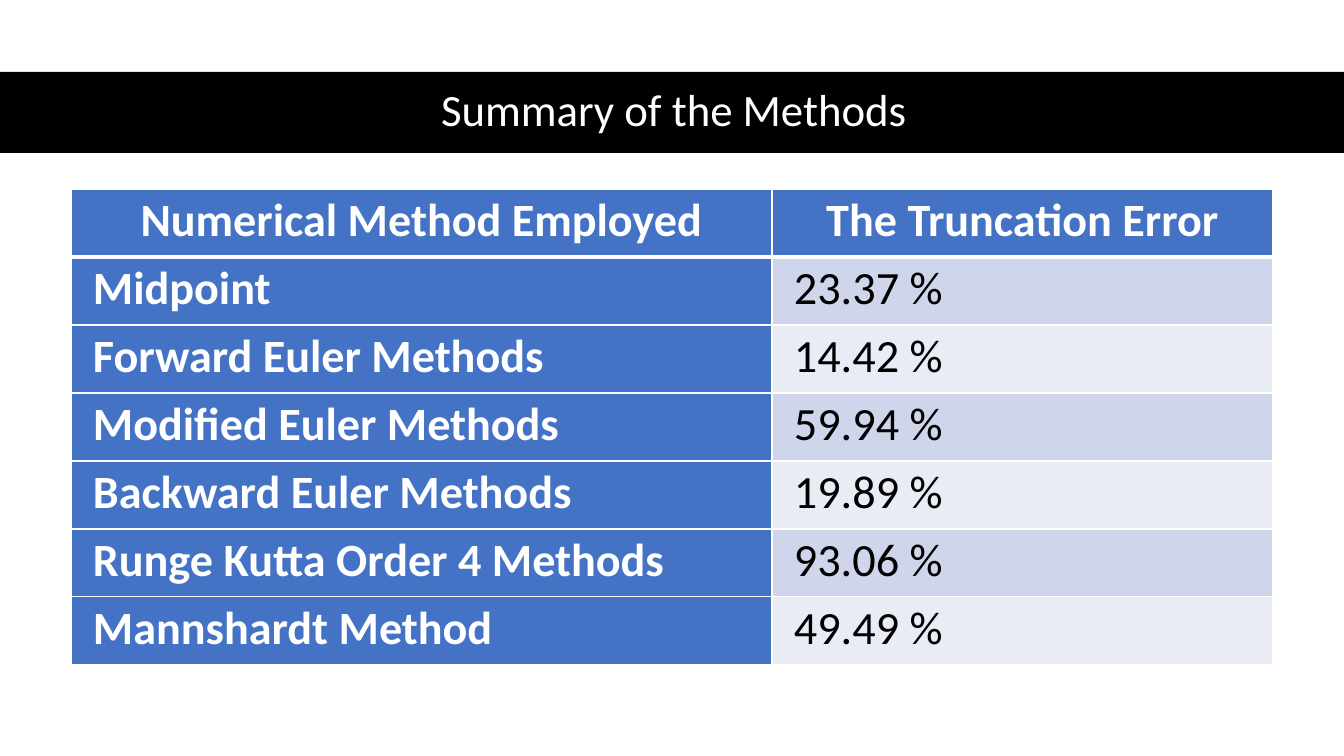
from lxml import etree
from pptx import Presentation
from pptx.dml.color import RGBColor
from pptx.enum.shapes import MSO_SHAPE
from pptx.enum.text import MSO_ANCHOR, PP_ALIGN
from pptx.oxml.ns import qn
from pptx.util import Pt

RECT = MSO_SHAPE.RECTANGLE
MIDDLE = MSO_ANCHOR.MIDDLE
CENTER, JUSTIFY = PP_ALIGN.CENTER, PP_ALIGN.JUSTIFY
FONT = "Calibri"
WHITE, BLACK, BLUE = "FFFFFF", "000000", "4472C4"
BANDS = ("CFD5EA", "E9EBF5")

HEADERS = ("Numerical Method Employed", "The Truncation Error")
ERRORS = [
    ("Midpoint", "23.37 %"),
    ("Forward Euler Methods", "14.42 %"),
    ("Modified Euler Methods", "59.94 %"),
    ("Backward Euler Methods", "19.89 %"),
    ("Runge Kutta Order 4 Methods", "93.06 %"),
    ("Mannshardt Method", "49.49 %"),
]


def px(n):
    return round(n * 914400 / 100.8)


def rgb(value):
    return RGBColor.from_string(value)


def write(tf, text, size, color, align, spacing, bold=False):
    tf.text = text
    p = tf.paragraphs[0]
    p.alignment = align
    p.line_spacing = spacing
    font = p.runs[0].font
    font.name, font.size, font.bold = FONT, Pt(size), bold
    font.color.rgb = rgb(color)


def add_border(cell, side, width):
    tcPr = cell._tc.get_or_add_tcPr()
    ln = etree.SubElement(tcPr, qn("a:ln" + side), w=str(Pt(width)))
    fill = etree.SubElement(ln, qn("a:solidFill"))
    etree.SubElement(fill, qn("a:srgbClr"), val=WHITE)


def title_band(s, x, y, w, h):
    band = s.shapes.add_shape(RECT, px(x), px(y), px(w), px(h))
    band.shadow.inherit = False
    band.fill.solid()
    band.fill.fore_color.rgb = rgb(BLACK)
    band.line.fill.background()
    title = s.shapes.add_textbox(px(x + 56), px(y - 1), px(w - 108), px(h))
    tf = title.text_frame
    tf.word_wrap = True
    tf.vertical_anchor = MIDDLE
    write(tf, "Summary of the Methods", 32, WHITE, CENTER, 0.9)


def style_cell(cell, row, col, text):
    header = row == 0
    labelled = header or col == 0
    cell.margin_left = cell.margin_right = px(22)
    cell.margin_top = cell.margin_bottom = 0
    for side in "LRTB":
        heavy = (header and side == "B") or (row == 1 and side == "T")
        add_border(cell, side, 3 if heavy else 1)
    cell.fill.solid()
    cell.fill.fore_color.rgb = rgb(BLUE if labelled else BANDS[(row - 1) % 2])
    write(cell.text_frame, text, 33, WHITE if labelled else BLACK,
          CENTER if header else JUSTIFY, 1.07, labelled)


def error_table(s, x, y, w, h):
    rows = [HEADERS] + ERRORS
    table = s.shapes.add_table(len(rows), 2, px(x), px(y), px(w), px(h)).table
    label_w = 701
    for column, width in zip(table.columns, (label_w, w - label_w)):
        column.width = px(width)
    for i, values in enumerate(rows):
        table.rows[i].height = px(h / len(rows))
        for j, text in enumerate(values):
            style_cell(table.cell(i, j), i, j, text)


prs = Presentation()
prs.slide_width, prs.slide_height = px(1344), px(756)
s = prs.slides.add_slide(prs.slide_layouts[6])
title_band(s, 0, 72, 1344, 81)
error_table(s, 71, 189, 1202, 476)
prs.save("out.pptx")
